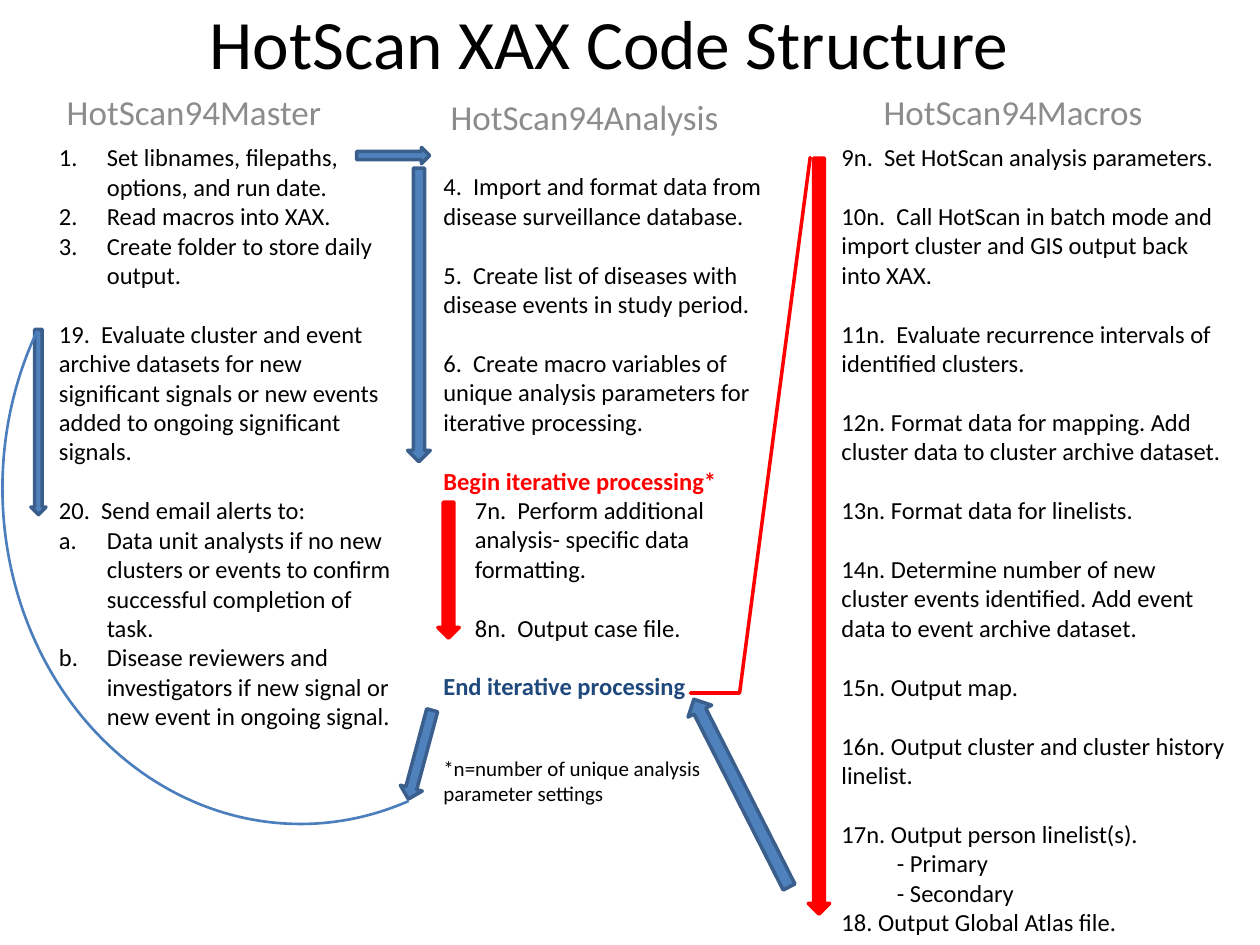
from lxml import etree
from pptx import Presentation
from pptx import util as u
from pptx.dml.color import RGBColor
from pptx.enum import shapes, text
from pptx.oxml import ns

Inches, Pt = u.Inches, u.Pt
FONT = "Calibri"
COLORS = {"black": "000000", "gray": "8C8C8C", "red": "FF0000", "navy": "1F497D",
          "blue": "4F81BD", "edge": "3A5F8C", "arc": "4B7EBC"}
LINE = 16.8  # height of one 14 pt line, used as the gap between steps
NUMBER, LETTER = "arabicPeriod", "alphaLcPeriod"

TITLE = "HotScan XAX Code Structure"
HEADINGS = [("HotScan94Master", 0.25, 0.67), ("HotScan94Analysis", 3.35, 0.71),
            ("HotScan94Macros", 6.75, 0.67)]

# Each paragraph: text, then any settings that differ from a plain step.
MASTER = [
    ("Set libnames, filepaths, options, and run date.", {"bullet": NUMBER}),
    ("Read macros into XAX.", {"bullet": NUMBER}),
    ("Create folder to store daily output.", {"bullet": NUMBER}),
    ("19.  Evaluate cluster and event archive datasets for new significant signals "
     "or new events added to ongoing significant signals.", {"gap": LINE}),
    ("20.  Send email alerts to:", {"gap": LINE}),
    ("Data unit analysts if no new clusters or events to confirm successful "
     "completion of task.", {"bullet": LETTER}),
    ("Disease reviewers and investigators if new signal or new event in ongoing "
     "signal.", {"bullet": LETTER}),
]
ANALYSIS = [
    ("4.  Import and format data from disease surveillance database.", {}),
    ("5.  Create list of diseases with disease events in study period.", {"gap": LINE}),
    ("6.  Create macro variables of unique analysis parameters for iterative "
     "processing.", {"gap": LINE}),
    ("Begin iterative processing*", {"gap": LINE, "color": "red", "bold": True}),
    ("7n.  Perform additional analysis- specific data formatting.", {"indent": 0.25}),
    ("8n.  Output case file.", {"gap": LINE, "indent": 0.25}),
    ("End iterative processing", {"gap": LINE, "color": "navy", "bold": True}),
    ("*n=number of unique analysis parameter settings", {"gap": 31.4, "size": 12}),
]
MACROS = [
    ("9n.  Set HotScan analysis parameters.", {}),
    ("10n.  Call HotScan in batch mode and import cluster and GIS output back into "
     "XAX.", {"gap": LINE}),
    ("11n.  Evaluate recurrence intervals of identified clusters.", {"gap": LINE}),
    ("12n. Format data for mapping. Add cluster data to cluster archive dataset.",
     {"gap": LINE}),
    ("13n. Format data for linelists.", {"gap": LINE}),
    ("14n. Determine number of new cluster events identified. Add event data to "
     "event archive dataset.", {"gap": LINE}),
    ("15n. Output map.", {"gap": LINE}),
    ("16n. Output cluster and cluster history linelist.", {"gap": LINE}),
    ("17n. Output person linelist(s).", {"gap": LINE}),
    ("- Primary", {"indent": 0.44}),
    ("- Secondary", {"indent": 0.44}),
    ("18. Output Global Atlas file.", {}),
]
# Each column: paragraphs, box, top inset.
COLUMNS = [(MASTER, (0.37, 1.08, 2.86, 5.28), 0.05),
           (ANALYSIS, (3.42, 1.08, 2.92, 5.65), 0.28),
           (MACROS, (6.58, 1.08, 3.25, 6.46), 0.05)]

# Each arrow: box before rotation, rotation, fill, outline.
ARROWS = [
    ((2.83, 1.17, 0.58, 0.13), 0, "blue", "edge"),
    ((2.16, 2.41, 2.33, 0.18), 90, "blue", "edge"),
    ((3.02, 4.44, 1.08, 0.17), 90, "red", "red"),
    ((3.5, 4.17, 6, 0.17), 90, "red", "red"),
    ((-0.43, 3.29, 1.47, 0.12), 90, "blue", "edge"),
    ((5.05, 6.19, 1.67, 0.21), 243.1, "blue", "edge"),
    ((2.97, 5.9, 0.73, 0.18), 105, "blue", "edge"),
]
RETURN_ARC = ((0.02, 1.21, 4.73, 5.33), 70.91, 210.82)  # box, start and end degrees
MACRO_CALL = [(5.48, 5.5), (5.87, 5.5), (6.43, 1.25)]


def rgb(name):
    """Return the named colour."""
    return RGBColor.from_string(COLORS[name])


def inches(values):
    """Convert numbers to lengths."""
    return [Inches(value) for value in values]


def add_paragraph(paragraph, words, size=14, color="black", bold=False, gap=0,
                  indent=0, bullet=None, align=text.PP_ALIGN.LEFT):
    """Fill one paragraph, with automatic numbering when a bullet is named."""
    paragraph.alignment = align
    paragraph.space_before = Pt(gap)
    run = paragraph.add_run()
    run.text = words
    run.font.name, run.font.size, run.font.bold = FONT, Pt(size), bold
    run.font.color.rgb = rgb(color)
    properties = paragraph._p.get_or_add_pPr()
    properties.set("marL", str(Inches(0.38 if bullet else indent)))
    properties.set("indent", str(Inches(-0.38 if bullet else 0)))
    if bullet:
        etree.SubElement(properties, ns.qn("a:buFont"), typeface="+mj-lt")
        etree.SubElement(properties, ns.qn("a:buAutoNum"), type=bullet)


def add_text(slide, box, paragraphs, top_inset=0.05, anchor=text.MSO_ANCHOR.TOP,
             fit=text.MSO_AUTO_SIZE.NONE):
    """Add a wrapping text box holding the paragraphs."""
    frame = slide.shapes.add_textbox(*inches(box)).text_frame
    frame.word_wrap, frame.auto_size = True, fit
    frame.vertical_anchor, frame.margin_top = anchor, Inches(top_inset)
    for index, (words, settings) in enumerate(paragraphs):
        paragraph = frame.add_paragraph() if index else frame.paragraphs[0]
        add_paragraph(paragraph, words, **settings)


def style(shape, fill, line, width=2):
    """Set fill, outline and shadow of a shape."""
    shape.shadow.inherit = False
    if fill:
        shape.fill.solid()
        shape.fill.fore_color.rgb = rgb(fill)
    else:
        shape.fill.background()
    shape.line.color.rgb = rgb(line)
    shape.line.width = Pt(width)


def add_arrow(slide, box, rotation, fill, line):
    """Add a block arrow."""
    arrow = slide.shapes.add_shape(shapes.MSO_SHAPE.RIGHT_ARROW, *inches(box))
    arrow.rotation = rotation
    style(arrow, fill, line)


def add_arc(slide, box, start, end):
    """Add an open arc between two angles."""
    arc = slide.shapes.add_shape(shapes.MSO_SHAPE.ARC, *inches(box))
    for index, degrees in enumerate((start, end)):
        arc.adjustments[index] = degrees * 0.6  # 60000 units a degree over 100000
    style(arc, None, "arc", 1.5)


def add_macro_call(slide, points):
    """Add the bent line, drawn out and back along the same points."""
    start, *rest = [tuple(inches(point)) for point in points + points[-2::-1]]
    builder = slide.shapes.build_freeform(*start)
    builder.add_line_segments(rest, close=True)
    style(builder.convert_to_shape(), "red", "red")


def main():
    """Build and save the slide."""
    presentation = Presentation()
    presentation.slide_width, presentation.slide_height = Inches(10), Inches(7.5)
    slide = presentation.slides.add_slide(presentation.slide_layouts[6])
    center = text.PP_ALIGN.CENTER
    add_text(slide, (0.92, 0, 7.83, 0.67), [(TITLE, {"size": 39.6, "align": center})],
             anchor=text.MSO_ANCHOR.MIDDLE)
    for words, left, top in HEADINGS:
        settings = {"size": 20, "color": "gray", "gap": 4, "align": center}
        add_text(slide, (left, top, 2.58, 0.42), [(words, settings)])
    for paragraphs, box, top_inset in COLUMNS:
        add_text(slide, box, paragraphs, top_inset,
                 fit=text.MSO_AUTO_SIZE.SHAPE_TO_FIT_TEXT)
    for arrow in ARROWS:
        add_arrow(slide, *arrow)
    add_arc(slide, *RETURN_ARC)
    add_macro_call(slide, MACRO_CALL)
    presentation.save("out.pptx")


main()
